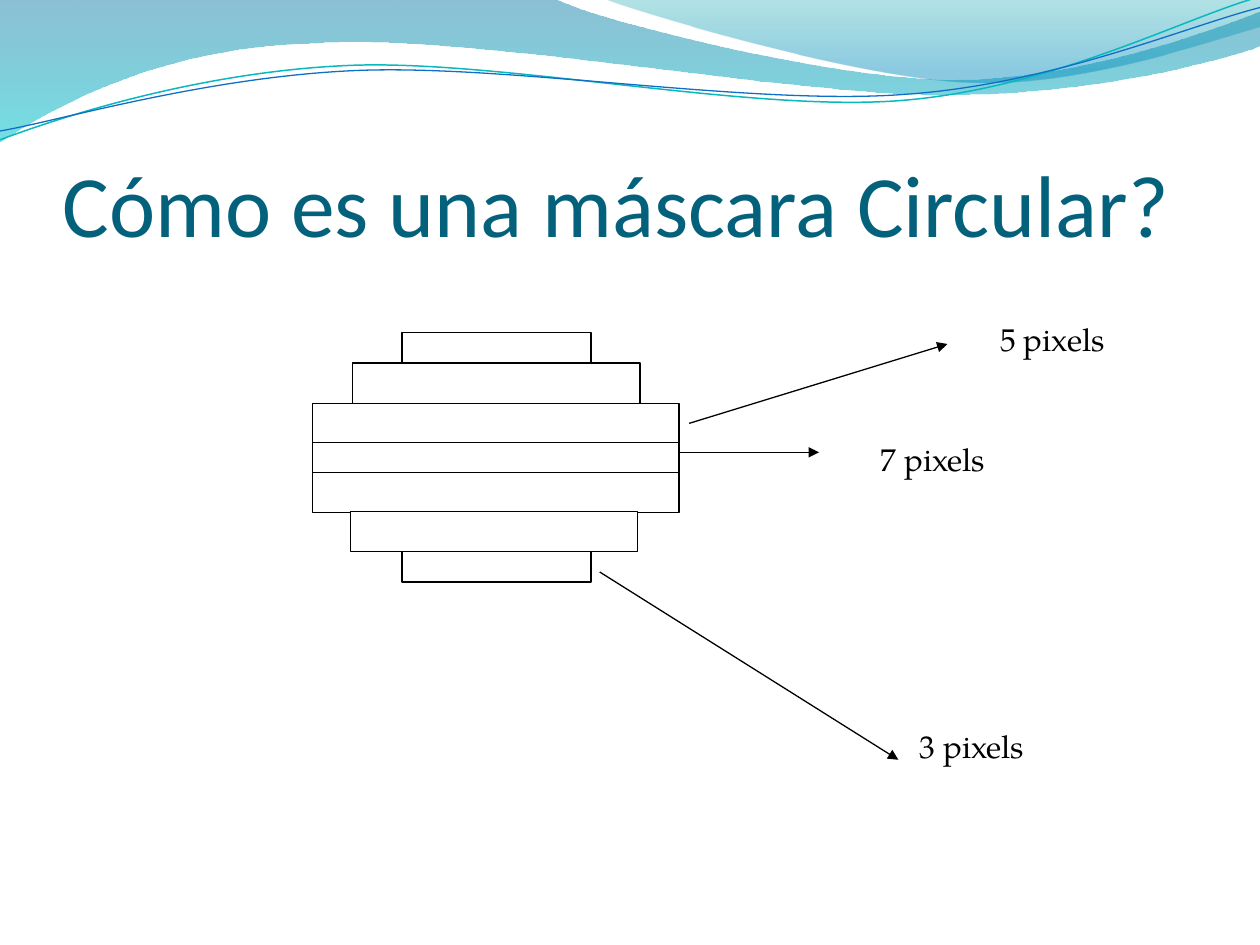
from lxml import etree
from pptx import Presentation
from pptx.dml.color import RGBColor
from pptx.enum.shapes import MSO_CONNECTOR, MSO_SHAPE
from pptx.enum.text import MSO_ANCHOR
from pptx.oxml.ns import qn
from pptx.util import Inches, Pt

RECTANGLE = MSO_SHAPE.RECTANGLE
STRAIGHT = MSO_CONNECTOR.STRAIGHT
BOTTOM, TOP = MSO_ANCHOR.BOTTOM, MSO_ANCHOR.TOP
COLORS = {
    "title": "04617B", "black": "000000", "white": "FFFFFF",
    "deep blue": "0074A1", "aqua": "00C6CF", "teal": "00A1A9", "sky": "008BBF",
    "teal line": "0AB8BF", "blue line": "0F6FC6",
}


def color(name):
    return RGBColor.from_string(COLORS[name])


def add_wave(shapes, start, segments, closed):
    """Draw a freeform from 2-number line and 6-number Bézier segments, in inches."""
    builder = shapes.build_freeform(Inches(start[0]), Inches(start[1]), scale=1.0)
    points = [segment[i:i + 2] for segment in segments for i in range(0, len(segment), 2)]
    builder.add_line_segments([(Inches(x), Inches(y)) for x, y in points], close=closed)
    wave = builder.convert_to_shape()
    wave.shadow.inherit = False
    # Each Bézier segment was laid down as three lines: join them into one curve
    lines = iter(list(wave._element.iter(qn("a:lnTo"))))
    for segment in segments:
        group = [next(lines) for _ in range(len(segment) // 2)]
        if len(group) == 3:
            curve = etree.Element(qn("a:cubicBezTo"))
            group[0].addprevious(curve)
            for line in group:
                curve.append(line[0])
                line.getparent().remove(line)
    return wave


presentation = Presentation()
presentation.slide_width, presentation.slide_height = Inches(10), Inches(7.5)
slide = presentation.slides.add_slide(presentation.slide_layouts[6])
shapes = slide.shapes

# Header bands: start, segments, gradient stops (position, color, opacity %)
bands = [
    ((0, 0),
     [(4.4, -0.01), (4.76, 0.17, 6.64, 0.63, 7.58, 0.63), (8.53, 0.63, 9.58, 0.26, 10, 0.09),
      (10.01, 0.36), (9.83, 0.44, 8.7, 0.76, 7.46, 0.75), (6.22, 0.75, 3.82, 0.28, 2.57, 0.34),
      (1.29, 0.36, 0.46, 0.83, -0.01, 1.13)],
     [(0, "deep blue", 45), (1, "aqua", 55)]),
    ((4.79, -0.01),
     [(5.09, 0.11, 6.82, 0.62, 7.69, 0.65), (8.56, 0.69, 9.61, 0.32, 10, 0.21), (10, 0)],
     [(0, "teal", 30), (0.8, "sky", 45)]),
]
for start, segments, stops in bands:
    band = add_wave(shapes, start, segments, closed=True)
    band.line.fill.background()
    band.fill.gradient()
    band.fill.gradient_angle = 270
    for stop, (position, name, _) in zip(band.fill.gradient_stops, stops):
        stop.position = position
        stop.color.rgb = color(name)
    for stop_color, (_, _, opacity) in zip(band._element.spPr.iter(qn("a:srgbClr")), stops):
        etree.SubElement(stop_color, qn("a:alpha"), val=str(opacity * 1000))

# Thin header curves
curves = [
    ((0, 1.11),
     [(0.48, 0.93, 1.58, 0.57, 2.77, 0.52), (3.95, 0.47, 5.93, 0.89, 7.13, 0.8),
      (8.33, 0.71, 9.38, 0.15, 9.98, -0.02)], "teal line", 0.85),
    ((0, 1.04),
     [(0.47, 0.96, 1.64, 0.61, 2.83, 0.56), (4.03, 0.51, 5.97, 0.84, 7.17, 0.75),
      (8.36, 0.67, 9.41, 0.21, 10, 0.06)], "blue line", 0.75),
]
for start, segments, name, width in curves:
    curve = add_wave(shapes, start, segments, closed=False)
    curve.fill.background()
    curve.line.color.rgb = color(name)
    curve.line.width = Pt(width)

# Rows of the circular mask, back to front: left, top, width, height
mask_rows = [
    (2.48, 3.44, 2.91, 0.32), (2.48, 3.75, 2.91, 0.32), (2.48, 3.2, 2.91, 0.31),
    (2.8, 2.88, 2.28, 0.32), (2.78, 4.06, 2.28, 0.32),
    (3.19, 2.64, 1.5, 0.24), (3.19, 4.38, 1.5, 0.24),
]
for box in mask_rows:
    row = shapes.add_shape(RECTANGLE, *map(Inches, box))
    row.shadow.inherit = False
    row.fill.solid()
    row.fill.fore_color.rgb = color("white")
    row.line.color.rgb = color("black")
    row.line.width = Pt(0.75)

# Arrows from the mask rows to their labels
for ends in [(5.39, 3.59, 6.5, 3.59), (5.47, 3.36, 7.52, 2.73), (4.76, 4.54, 7.13, 6.03)]:
    arrow = shapes.add_connector(STRAIGHT, *map(Inches, ends))
    arrow.line.color.rgb = color("black")
    arrow.line.width = Pt(0.75)
    etree.SubElement(arrow.line._get_or_add_ln(), qn("a:tailEnd"), type="triangle")
    etree.SubElement(arrow._element.spPr, qn("a:effectLst"))

# Title and labels: text, box, font, size, color, anchor, side inset
texts = [
    ("Cómo es una máscara Circular?", (0.5, 0.77, 9, 1.25), "Calibri", 50, "title", BOTTOM, 0),
    ("5 pixels", (7.84, 2.49, 1.97, 0.5), "TeX Gyre Pagella", 18, "black", TOP, 0.1),
    ("7 pixels", (6.89, 3.44, 1.49, 0.5), "TeX Gyre Pagella", 18, "black", TOP, 0.1),
    ("3 pixels", (7.2, 5.72, 1.97, 0.5), "TeX Gyre Pagella", 18, "black", TOP, 0.1),
]
for text, box, font, size, name, anchor, inset in texts:
    frame = shapes.add_textbox(*map(Inches, box)).text_frame
    frame.word_wrap = True
    frame.vertical_anchor = anchor
    frame.margin_left = frame.margin_right = Inches(inset)
    if anchor == BOTTOM:
        frame.margin_bottom = 0
    paragraph = frame.paragraphs[0]
    paragraph.text = text
    paragraph.font.name = font
    paragraph.font.size = Pt(size)
    paragraph.font.color.rgb = color(name)

presentation.save("out.pptx")
